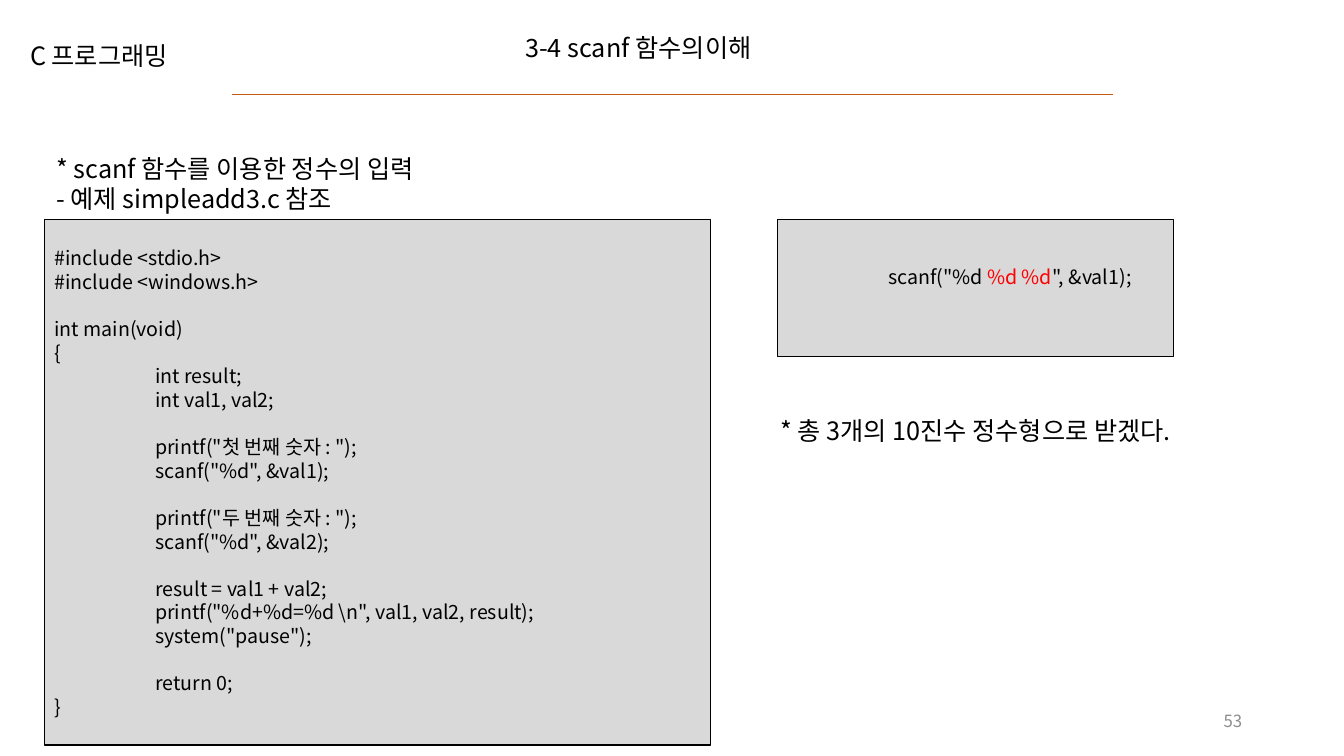
from dataclasses import dataclass

from lxml import etree
from pptx import Presentation
from pptx.dml.color import RGBColor
from pptx.enum.shapes import MSO_CONNECTOR, MSO_SHAPE
from pptx.enum.text import MSO_ANCHOR, MSO_AUTO_SIZE, PP_ALIGN
from pptx.oxml.ns import qn
from pptx.util import Inches, Pt

FONT = "Noto Sans CJK KR"
BLACK, RED, GRAY, PANEL, ORANGE = "000000", "FF0000", "8C8C8C", "D9D9D9", "C55A11"
STRAIGHT = MSO_CONNECTOR.STRAIGHT
RECTANGLE = MSO_SHAPE.RECTANGLE
TOP, MIDDLE = MSO_ANCHOR.TOP, MSO_ANCHOR.MIDDLE
LEFT, RIGHT = PP_ALIGN.LEFT, PP_ALIGN.RIGHT
NO_FIT, GROW = MSO_AUTO_SIZE.NONE, MSO_AUTO_SIZE.SHAPE_TO_FIT_TEXT
CODE_SIZE = 14
CODE_LINE = 17
CODE_TAB = 1


@dataclass
class Span:
    """A stretch of text in one colour."""

    text: str
    color: str = BLACK


@dataclass
class Label:
    """A line or two of plain text at a place on the slide."""

    area: tuple
    lines: list


@dataclass
class CodePanel:
    """A gray panel of code, in groups of lines set apart by one line."""

    area: tuple
    groups: list
    bottom: float = 0.05


LABELS = [
    Label((0.2, 0.35, 1.71, 0.4), ["C 프로그래밍"]),
    Label((0.46, 1.47, 4.12, 0.71),
          ["* scanf 함수를 이용한 정수의 입력", "- 예제 simpleadd3.c 참조"]),
    Label((7.64, 4.07, 4.51, 0.4), ["* 총 3개의 10진수 정수형으로 받겠다."]),
]

PROGRAM = [
    ["#include <stdio.h>", "#include <windows.h>"],
    ["int main(void)", "{", "\tint result;", "\tint val1, val2;"],
    ['\tprintf("첫 번째 숫자 : ");', '\tscanf("%d", &val1);'],
    ['\tprintf("두 번째 숫자 : ");', '\tscanf("%d", &val2);'],
    ["\tresult = val1 + val2;",
     '\tprintf("%d+%d=%d \\n", val1, val2, result);',
     '\tsystem("pause");'],
    ["\treturn 0;", "}"],
]

PANELS = [
    CodePanel((0.44, 2.18, 6.61, 5.21),
              [[[Span(line)] for line in group] for group in PROGRAM]),
    CodePanel((7.71, 2.18, 3.93, 1.36),
              [[[Span('\tscanf("%d '), Span("%d %d", RED), Span('", &val1);')]]],
              bottom=0.28),
]


def rgb(color: str) -> RGBColor:
    """Turn a hex string into a colour."""
    return RGBColor.from_string(color)


def add_tab_stop(para, position: float) -> None:
    """Give a paragraph one left tab stop."""
    stops = etree.SubElement(para._p.get_or_add_pPr(), qn("a:tabLst"))
    stop = etree.SubElement(stops, qn("a:tab"))
    stop.set("pos", str(Inches(position)))
    stop.set("algn", "l")


def add_spans(para, spans: list, size: float) -> None:
    """Write the spans into a paragraph, run by run."""
    for span in spans:
        run = para.add_run()
        run.text = span.text
        run.font.size = Pt(size)
        run.font.name = FONT
        run.font.color.rgb = rgb(span.color)
        east_asian = etree.SubElement(run.font._element, qn("a:ea"))
        east_asian.set("typeface", FONT)


def write(frame, groups: list, size: float, anchor=TOP, align=LEFT) -> None:
    """Fill a text frame with groups of lines, one line apart."""
    frame.vertical_anchor = anchor
    para = frame.paragraphs[0]
    for group_index, group in enumerate(groups):
        for line_index, spans in enumerate(group):
            if group_index or line_index:
                para = frame.add_paragraph()
                para.space_before = Pt(0 if line_index else CODE_LINE)
            para.alignment = align
            if spans[0].text.startswith("\t"):
                add_tab_stop(para, CODE_TAB)
            add_spans(para, spans, size)


def add_title(page, text: str, area: tuple) -> None:
    """Place and format the title placeholder."""
    title = page.shapes.title
    title.left, title.top, title.width, title.height = map(Inches, area)
    title.text_frame.word_wrap = False
    title.text_frame.auto_size = NO_FIT
    write(title.text_frame, [[[Span(text)]]], 18)


def add_label(page, label: Label) -> None:
    """Draw a plain text label."""
    frame = page.shapes.add_textbox(*map(Inches, label.area)).text_frame
    frame.word_wrap = False
    frame.auto_size = GROW
    write(frame, [[[Span(line)] for line in label.lines]], 18)


def add_panel(page, panel: CodePanel) -> None:
    """Draw a panel of code."""
    box = page.shapes.add_shape(RECTANGLE, *map(Inches, panel.area))
    box.shadow.inherit = False
    box.fill.solid()
    box.fill.fore_color.rgb = rgb(PANEL)
    box.line.color.rgb = rgb(BLACK)
    box.line.width = Pt(1)
    box.text_frame.word_wrap = True
    box.text_frame.margin_bottom = Inches(panel.bottom)
    write(box.text_frame, panel.groups, CODE_SIZE, MIDDLE)


def add_rule(page, left: float, right: float, top: float) -> None:
    """Draw the rule under the title."""
    rule = page.shapes.add_connector(
        STRAIGHT, Inches(left), Inches(top), Inches(right), Inches(top))
    rule.line.color.rgb = rgb(ORANGE)
    rule.line.width = Pt(0.5)
    etree.SubElement(rule._element.spPr, qn("a:effectLst"))


def add_page_number(page, number: str, area: tuple) -> None:
    """Write the page number at the lower right."""
    frame = page.shapes.add_textbox(*map(Inches, area)).text_frame
    frame.word_wrap = True
    write(frame, [[[Span(number, GRAY)]]], 12, MIDDLE, RIGHT)


def main() -> None:
    """Build the slide and save it."""
    deck = Presentation()
    deck.slide_width, deck.slide_height = Inches(13.33), Inches(7.5)
    page = deck.slides.add_slide(deck.slide_layouts.get_by_name("Title Only"))
    add_title(page, "3-4 scanf 함수의이해", (5.11, 0.27, 2.61, 0.4))
    add_rule(page, 2.3, 11.04, 0.94)
    for label in LABELS:
        add_label(page, label)
    for panel in PANELS:
        add_panel(page, panel)
    add_page_number(page, "53", (9.42, 6.95, 3, 0.4))
    deck.save("out.pptx")


if __name__ == "__main__":
    main()
